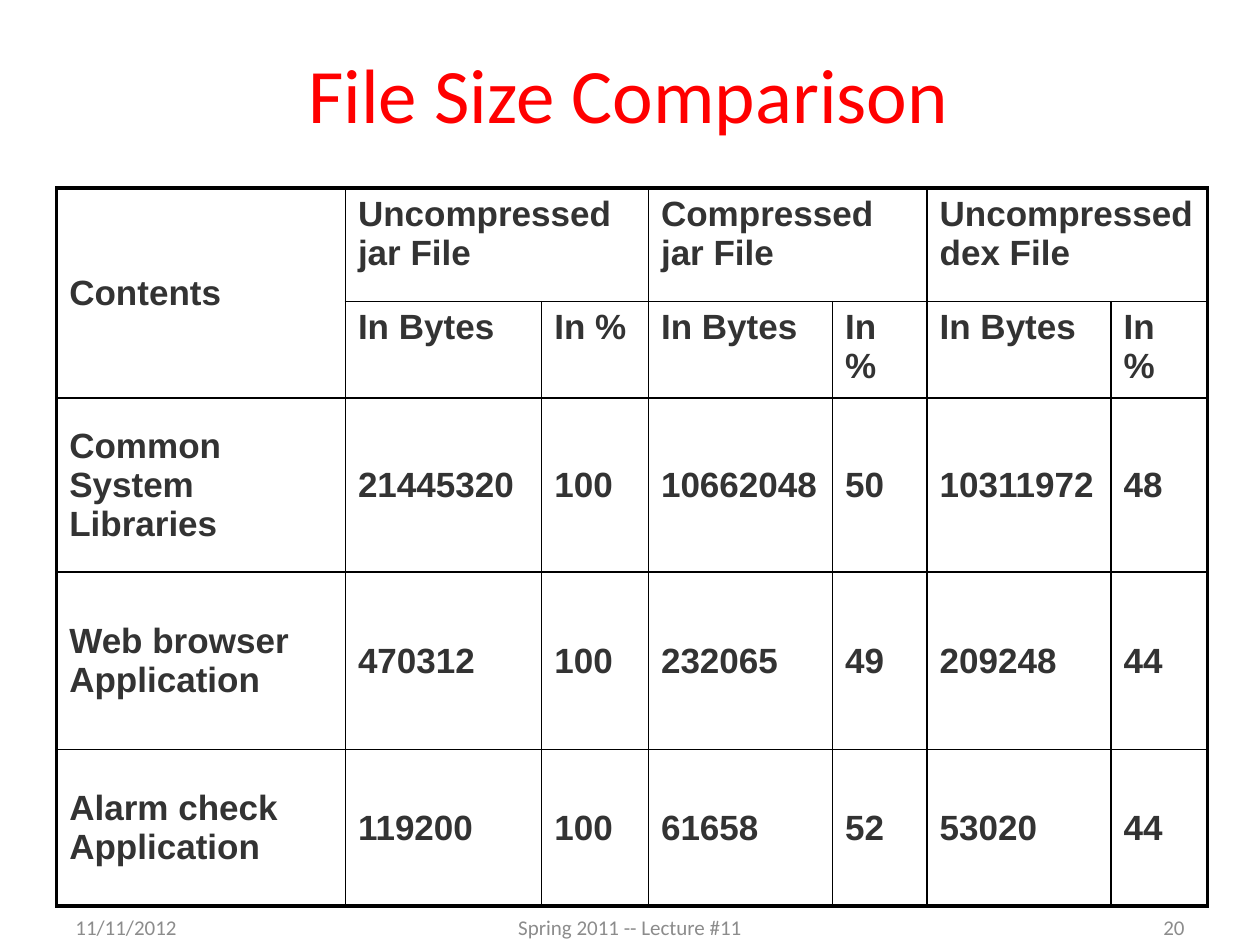
from pptx import Presentation
from pptx.dml.color import RGBColor
from pptx.enum.text import MSO_ANCHOR as Anchor, PP_ALIGN as Align
from pptx.oxml.ns import qn
from pptx.util import Pt
from lxml.etree import SubElement

THEME = {
    "title": ("Calibri", 44, "FF0000"),
    "footer": ("Calibri", 12, "8C8C8C"),
    "cell": ("Arial", 20, "333333"),
    "border": "000000",
    "outer_line": 2.25,
    "inner_line": 1,
}


def style_text(frame, role, align=Align.LEFT, bold=False):
    family, size, color = THEME[role]
    for paragraph in frame.paragraphs:
        paragraph.alignment = align
        for run in paragraph.runs:
            run.font.name = family
            run.font.size = Pt(size)
            run.font.bold = bold
            run.font.color.rgb = RGBColor.from_string(color)


def add_border(cell, side, outer):
    width = THEME["outer_line"] if outer else THEME["inner_line"]
    line = SubElement(cell._tc.get_or_add_tcPr(), qn(f"a:ln{side}"), w=str(Pt(width)))
    fill = SubElement(line, qn("a:solidFill"))
    SubElement(fill, qn("a:srgbClr"), val=THEME["border"])


prs = Presentation()
prs.slide_width, prs.slide_height = Pt(720), Pt(540)
slide = prs.slides.add_slide(prs.slide_layouts[5])

# Title
title = slide.shapes.title
title.left, title.top, title.width, title.height = Pt(18.7), Pt(8), Pt(681), Pt(90)
title.text_frame.text = "File Size Comparison"
title.text_frame.vertical_anchor = Anchor.MIDDLE
style_text(title.text_frame, "title", Align.CENTER)

# Footer: date, lecture, page number
for words, left, width, align in [
    ("11/11/2012", 36, 168, Align.LEFT),
    ("Spring 2011 -- Lecture #11", 246, 228, Align.CENTER),
    ("20", 516, 168, Align.RIGHT),
]:
    footer = slide.shapes.add_textbox(Pt(left), Pt(515.5), Pt(width), Pt(28.8)).text_frame
    footer.word_wrap = True
    footer.vertical_anchor = Anchor.MIDDLE
    footer.text = words
    style_text(footer, "footer", align)

# Size table
column_widths = [165, 112.2, 61, 105.2, 54, 105.2, 55]
row_heights = [64.8, 54.7, 99.4, 101.5, 89.3]
rows = [
    ["Contents", "Uncompressed jar File", "", "Compressed jar File", "",
     "Uncompressed dex File", ""],
    [""] + ["In Bytes", "In %"] * 3,
    ["Common System Libraries", "21445320", "100", "10662048", "50", "10311972", "48"],
    ["Web browser Application", "470312", "100", "232065", "49", "209248", "44"],
    ["Alarm check Application", "119200", "100", "61658", "52", "53020", "44"],
]
last_row, last_col = len(rows) - 1, len(column_widths) - 1
sizes = slide.shapes.add_table(
    len(rows), len(column_widths), Pt(32.4), Pt(107.5),
    Pt(sum(column_widths)), Pt(sum(row_heights))).table
sizes.first_row = sizes.horz_banding = False
for column, width in zip(sizes.columns, column_widths):
    column.width = Pt(width)
for row, height in zip(sizes.rows, row_heights):
    row.height = Pt(height)

# Header merges
sizes.cell(0, 0).merge(sizes.cell(1, 0))
for col in (1, 3, 5):
    sizes.cell(0, col).merge(sizes.cell(0, col + 1))

# Cell text and borders, heavier around the outside
for r, values in enumerate(rows):
    for c, value in enumerate(values):
        cell = sizes.cell(r, c)
        add_border(cell, "L", c == 0)
        add_border(cell, "R", c == last_col or (r == 0 and c == last_col - 1))
        add_border(cell, "T", r == 0)
        add_border(cell, "B", r == last_row)
        cell.fill.background()
        cell.vertical_anchor = Anchor.MIDDLE if c == 0 or r > 1 else Anchor.TOP
        if value:
            cell.text_frame.text = value
            style_text(cell.text_frame, "cell", bold=True)

prs.save("out.pptx")
